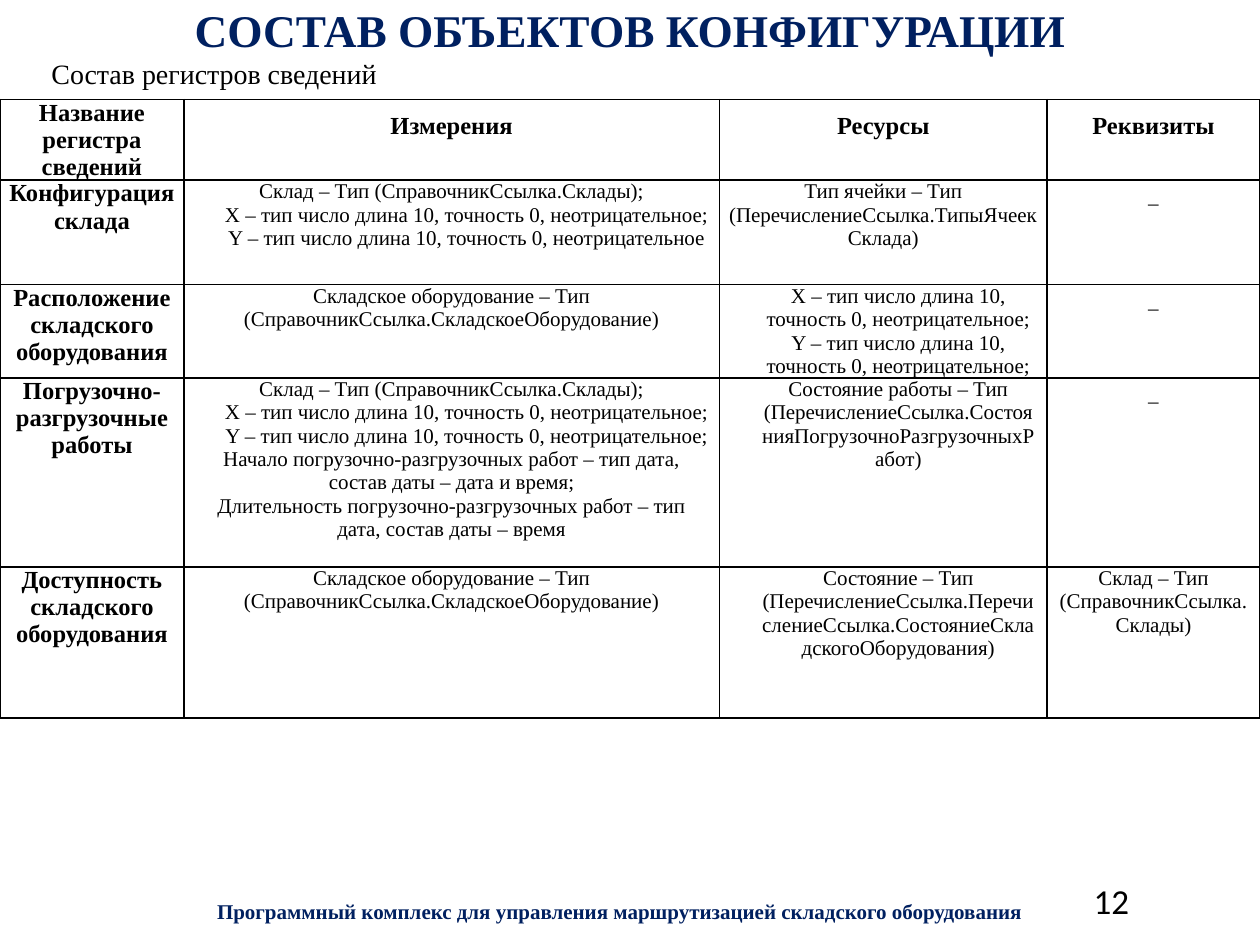
from lxml import etree
from pptx import Presentation
from pptx.dml.color import RGBColor
from pptx.enum import text
from pptx.oxml import ns
from pptx.util import Inches, Pt

NAVY = RGBColor(0x00, 0x20, 0x60)
BLACK = RGBColor(0x00, 0x00, 0x00)
SERIF = "Times New Roman"
ALIGN = text.PP_ALIGN
INDENT = 0.24

X_AXIS = ("X – тип число длина 10, точность 0, неотрицательное;", INDENT)
Y_AXIS = ("Y – тип число длина 10, точность 0, неотрицательное;", INDENT)
Y_LAST = ("Y – тип число длина 10, точность 0, неотрицательное", INDENT)
WAREHOUSE = "Склад – Тип (СправочникСсылка.Склады);"
EQUIPMENT = "Складское оборудование – Тип (СправочникСсылка.СкладскоеОборудование)"
DASH = "–"

HEADERS = ["Название регистра сведений", "Измерения", "Ресурсы", "Реквизиты"]
REGISTERS = [
    ["Конфигурация склада",
     [WAREHOUSE, X_AXIS, Y_LAST],
     ["Тип ячейки – Тип (ПеречислениеСсылка.ТипыЯчеекСклада)"],
     [DASH]],
    ["Расположение складского оборудования",
     [EQUIPMENT],
     [X_AXIS, Y_AXIS],
     [DASH]],
    ["Погрузочно-разгрузочные работы",
     [WAREHOUSE, X_AXIS, Y_AXIS,
      "Начало погрузочно-разгрузочных работ – тип дата, состав даты – дата и время;",
      "Длительность погрузочно-разгрузочных работ – тип дата, состав даты – время"],
     [("Состояние работы – Тип (ПеречислениеСсылка.СостоянияПогрузочноРазгрузочныхРабот)", INDENT)],
     [DASH]],
    ["Доступность складского оборудования",
     [EQUIPMENT],
     [("Состояние – Тип (ПеречислениеСсылка.ПеречислениеСсылка.СостояниеСкладскогоОборудования)", INDENT)],
     ["Склад – Тип (СправочникСсылка.Склады)"]],
]
COL_WIDTHS = [1.46, 4.25, 2.6, 1.69]
ROW_HEIGHTS = [0.64, 0.83, 0.74, 1.5, 1.2]
BOTTOM_MARGIN = -0.07

LABELS = [
    ("Программный комплекс для управления маршрутизацией складского оборудования",
     (0.59, 7.01, 8.66, 0.44), ALIGN.CENTER, 12, SERIF, NAVY, True, 0),
    ("СОСТАВ ОБЪЕКТОВ КОНФИГУРАЦИИ",
     (0, 0, 10, 0.47), ALIGN.CENTER, 25.9, SERIF, NAVY, True, 0),
    ("12", (6.73, 6.95, 2.33, 0.4), ALIGN.RIGHT, 20, "Calibri", BLACK, False, 0),
    ("Состав регистров сведений",
     (-0.08, 0.38, 10, 0.4), ALIGN.JUSTIFY, 16, SERIF, BLACK, False, 0.39),
]


def write(p, content, align, size, font, color, bold):
    p.alignment = align
    r = p.add_run()
    r.text = content
    r.font.size = Pt(size)
    r.font.name = font
    r.font.color.rgb = color
    r.font.bold = bold


def add_label(s, content, box, align, size, font, color, bold, first_line):
    tf = s.shapes.add_textbox(*map(Inches, box)).text_frame
    tf.word_wrap = True
    tf.vertical_anchor = text.MSO_ANCHOR.MIDDLE
    p = tf.paragraphs[0]
    if first_line:
        p._p.get_or_add_pPr().set("indent", str(Inches(first_line)))
    write(p, content, align, size, font, color, bold)


def add_borders(cell):
    tc_pr = cell._tc.get_or_add_tcPr()
    for side in ("a:lnL", "a:lnR", "a:lnT", "a:lnB"):
        line = etree.SubElement(tc_pr, ns.qn(side), w=str(Pt(1)))
        fill = etree.SubElement(line, ns.qn("a:solidFill"))
        etree.SubElement(fill, ns.qn("a:srgbClr"), val=str(BLACK))


def fill_cell(cell, items, inset, bold, header):
    cell.margin_left = cell.margin_right = inset
    cell.margin_top = 0
    cell.margin_bottom = Inches(BOTTOM_MARGIN)
    add_borders(cell)
    cell.fill.background()
    tf = cell.text_frame
    for i, item in enumerate(items):
        content, indent = item if isinstance(item, tuple) else (item, 0)
        p = tf.add_paragraph() if i else tf.paragraphs[0]
        if indent:
            p._p.get_or_add_pPr().set("marL", str(Inches(indent)))
        if header or content == DASH:
            p.line_spacing = 1.5
        write(p, content, ALIGN.CENTER, 14 if bold else 12, SERIF, BLACK, bold)


def add_registers(s):
    rows = [HEADERS] + REGISTERS
    table = s.shapes.add_table(len(rows), len(HEADERS), 0, Inches(0.79),
                               Inches(10), Inches(sum(ROW_HEIGHTS))).table
    for column, width in zip(table.columns, COL_WIDTHS):
        column.width = Inches(width)
    for row, height in zip(table.rows, ROW_HEIGHTS):
        row.height = Inches(height)
    for i, row in enumerate(rows):
        for j, items in enumerate(row):
            if isinstance(items, str):
                items = [items]
            fill_cell(table.cell(i, j), items, Pt(4.5) if i < 2 else Pt(5.4),
                      i == 0 or j == 0, i == 0 and j > 0)


def main():
    prs = Presentation()
    prs.slide_width, prs.slide_height = Inches(10), Inches(7.5)
    s = prs.slides.add_slide(prs.slide_layouts[6])
    for label in LABELS:
        add_label(s, *label)
    add_registers(s)
    prs.save("out.pptx")


if __name__ == "__main__":
    main()
